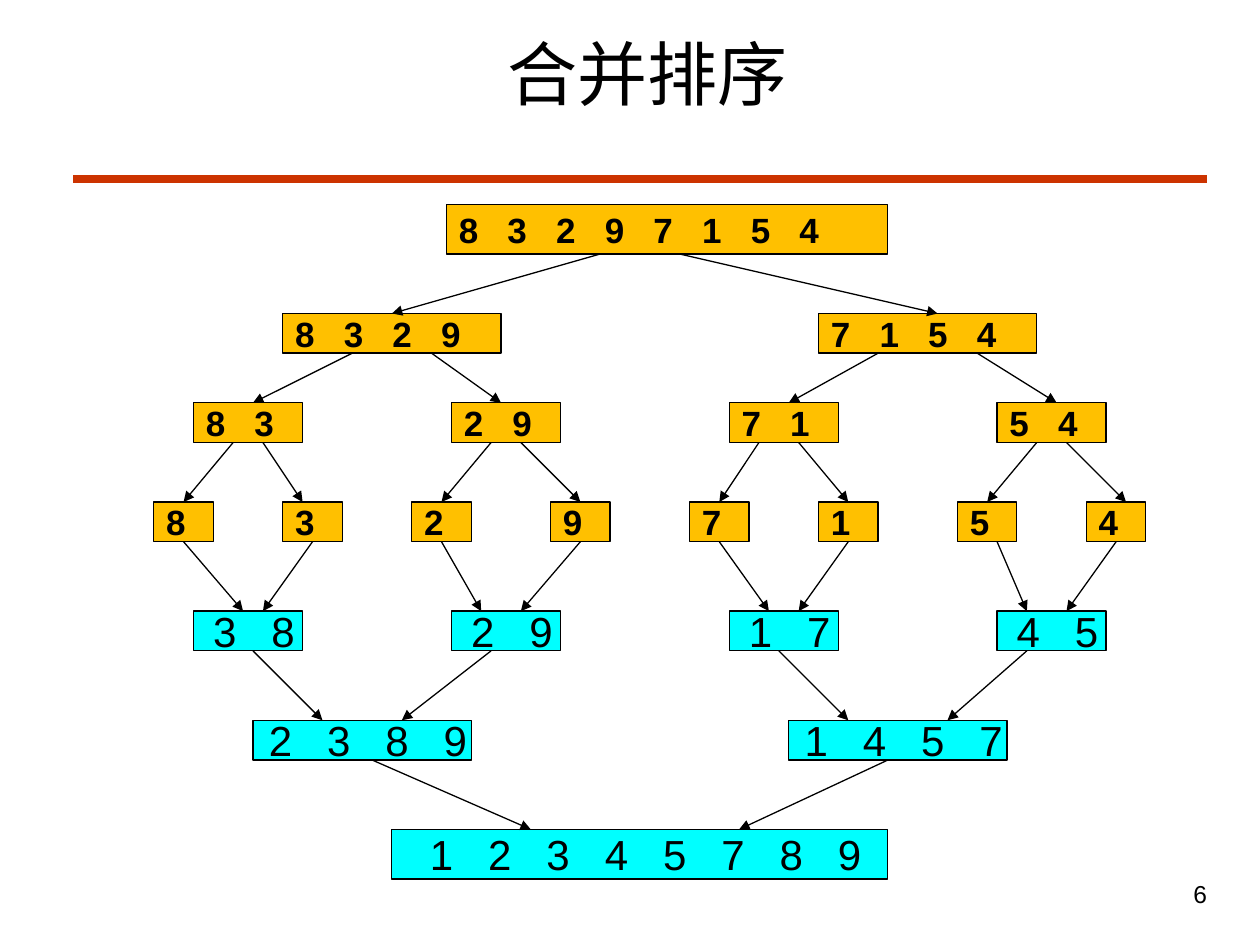
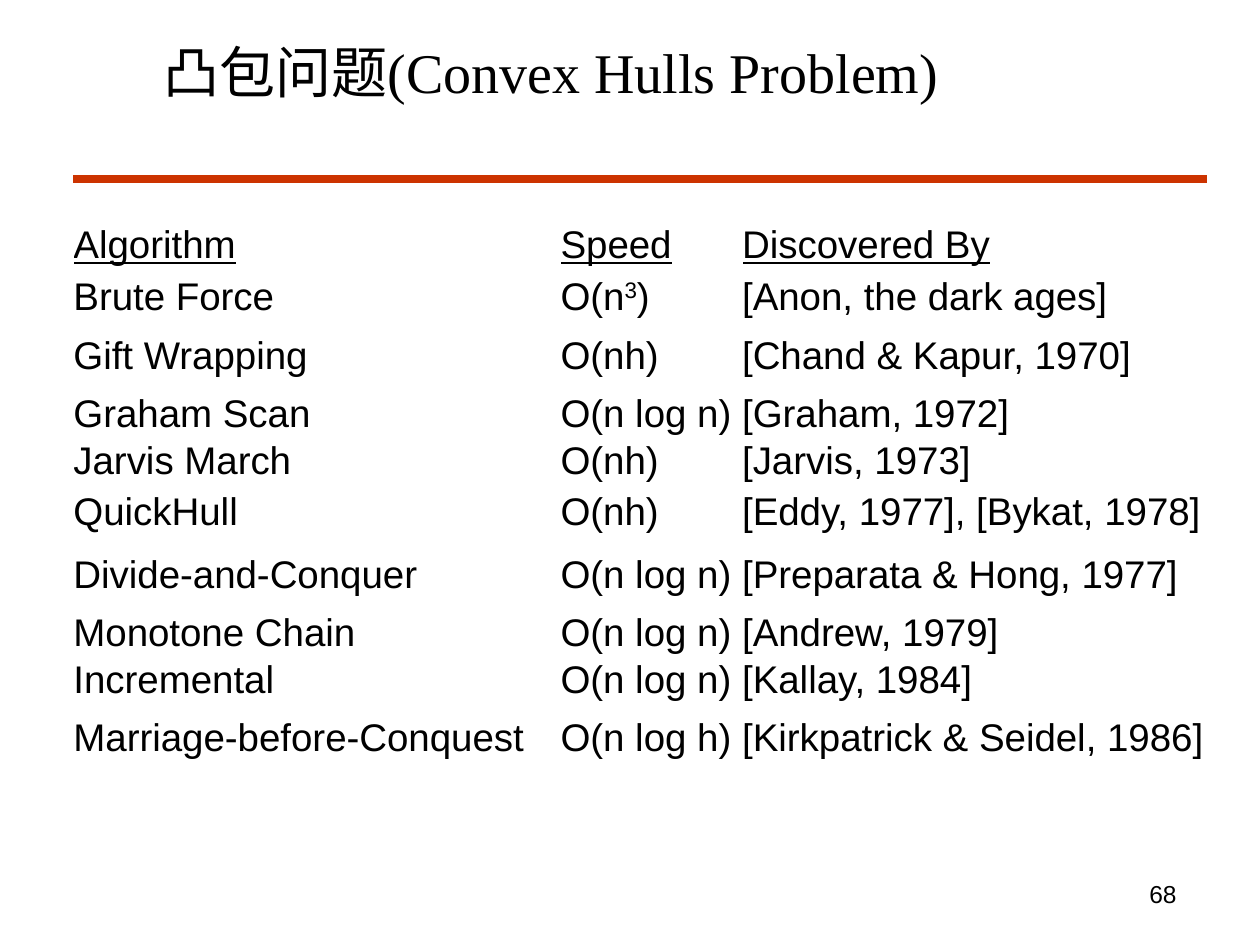
from lxml import etree
from pptx import Presentation
from pptx import util as u
from pptx.dml.color import RGBColor
from pptx.enum import shapes, text
from pptx.oxml.ns import qn

BLACK = RGBColor(0, 0, 0)
RED = RGBColor(0xCC, 0x33, 0)
AMBER = RGBColor(0xFF, 0xC0, 0)
CYAN = RGBColor(0, 0xFF, 0xFF)
SANS, SERIF = "Arial", "Times New Roman"

UNIT = u.Mm(2)  # one column or row of the grid
TREE_LEFT, TREE_TOP = 0.5, 20.6
SPACE_WIDTH = 0.278  # width of a space, as a share of the text size

# Each level: top row, height, box width, fill, boxes as (column, numbers)
LEVELS = [
    (0, 5, 44.5, AMBER, [(44.5, "8 3 2 9 7 1 5 4")]),
    (11, 4, 22, AMBER, [(28, "8 3 2 9"), (82, "7 1 5 4")]),
    (20, 4, 11, AMBER, [(19, "8 3"), (45, "2 9"), (73, "7 1"), (100, "5 4")]),
    (30, 4, 6, AMBER, [(15, "8"), (28, "3"), (41, "2"), (55, "9"),
                       (69, "7"), (82, "1"), (96, "5"), (109, "4")]),
    (41, 4, 11, CYAN, [(19, "3 8"), (45, "2 9"), (73, "1 7"), (100, "4 5")]),
    (52, 4, 22, CYAN, [(25, "2 3 8 9"), (79, "1 4 5 7")]),
    (63, 5, 50, CYAN, [(39, "1 2 3 4 5 7 8 9")]),
]
# Start and end columns of the arrows from each level to the next
ARROWS = [
    [(60, 39), (68, 94)],
    [(35, 25), (43, 50), (88, 79), (98, 106)],
    [(23, 18), (26, 30), (49, 44), (52, 58),
     (76, 72), (80, 85), (104, 99), (107, 113)],
    [(18, 24), (31, 26), (44, 48), (58, 52),
     (72, 77), (85, 80), (100, 103), (112, 107)],
    [(25, 32), (49, 40), (78, 85), (103, 95)],
    [(37, 53), (89, 74)],
]

HULL_COLUMNS = [49.1, 18.3, 50.2]
HULL_ROWS = [
    (5.8, "Algorithm", "Speed", "Discovered By"),
    (4.7, "Brute Force", "O(n^3^)", "[Anon, the dark ages]"),
    (7.1, "Gift Wrapping", "O(nh)", "[Chand & Kapur, 1970]"),
    (4.7, "Graham Scan", "O(n log n)", "[Graham, 1972]"),
    (4.7, "Jarvis March", "O(nh)", "[Jarvis, 1973]"),
    (5.6, "QuickHull", "O(nh)", "[Eddy, 1977], [Bykat, 1978]"),
    (7.1, "Divide-and-Conquer", "O(n log n)", "[Preparata & Hong, 1977]"),
    (4.7, "Monotone Chain", "O(n log n)", "[Andrew, 1979]"),
    (4.7, "Incremental", "O(n log n)", "[Kallay, 1984]"),
    (7.1, "Marriage-before-Conquest", "O(n log h)", "[Kirkpatrick & Seidel, 1986]"),
]


def grid(*lengths):
    return [u.Emu(round(n * UNIT)) for n in lengths]


def write(tf, words, size, font=SANS, align=text.PP_ALIGN.LEFT, bold=False,
          underline=False, spacing=0, anchor=None):
    """Fill a text frame; words between two ^ marks are raised."""
    if anchor is not None:
        tf.vertical_anchor = anchor
    p = tf.paragraphs[0]
    p.alignment = align
    for i, part in enumerate(words.split("^")):
        r = p.add_run()
        r.text = part
        r.font.size, r.font.name = u.Pt(size), font
        r.font.bold, r.font.underline = bold, underline
        r.font.color.rgb = BLACK
        if i % 2:
            r.font._element.set("baseline", "30000")
        if spacing:
            r.font._element.set("spc", str(round(spacing * 100)))


class Deck:
    def __init__(self):
        self.prs = Presentation()
        self.prs.slide_width, self.prs.slide_height = u.Inches(10), u.Inches(7.5)

    def slide(self, title, box, size, number, number_align):
        self.s = self.prs.slides.add_slide(self.prs.slide_layouts[5])
        self.line(7.4, 18, 121.7, 18, RED, 4.5)
        sp = self.s.shapes.title
        sp.left, sp.top, sp.width, sp.height = grid(*box)
        write(sp.text_frame, title, size, SERIF, text.PP_ALIGN.CENTER,
              anchor=text.MSO_ANCHOR.MIDDLE)
        tf = self.s.shapes.add_textbox(*grid(114.6, 88, 8.3, 6.6)).text_frame
        tf.word_wrap = True
        write(tf, number, 14, align=number_align)

    def line(self, x1, y1, x2, y2, color=BLACK, width=0.75):
        sp = self.s.shapes.add_connector(shapes.MSO_CONNECTOR.STRAIGHT,
                                         *grid(x1, y1, x2, y2))
        sp.line.color.rgb, sp.line.width = color, u.Pt(width)
        etree.SubElement(sp._element.spPr, qn("a:effectLst"))
        return sp

    def arrow(self, start, x1, end, x2):
        """Point from the bottom of one box to the top of another."""
        sp = self.line(x1, (start.top + start.height) / UNIT, x2, end.top / UNIT)
        etree.SubElement(sp.line._get_or_add_ln(), qn("a:tailEnd"), type="triangle")
        for box, x, side, join in ((start, x1, 2, sp.begin_connect),
                                   (end, x2, 0, sp.end_connect)):
            if abs(box.left + box.width / 2 - x * UNIT) < UNIT / 10:
                join(box, side)

    def box(self, x, y, width, height, numbers, fill):
        sp = self.s.shapes.add_shape(shapes.MSO_SHAPE.RECTANGLE,
                                     *grid(x, y, width, height))
        sp.shadow.inherit = False
        sp.fill.solid()
        sp.fill.fore_color.rgb = fill
        sp.line.color.rgb, sp.line.width = BLACK, u.Pt(0.75)
        merged = fill == CYAN
        size = 24 if merged else 20
        spacing = size * SPACE_WIDTH if " " in numbers else 0
        tf = sp.text_frame
        tf.word_wrap = False
        if merged:  # balances the spacing after the last number
            tf.margin_left = u.Inches(0.1) + u.Pt(spacing)
        write(tf, numbers, size, bold=not merged, spacing=spacing,
              align=text.PP_ALIGN.CENTER if merged else text.PP_ALIGN.LEFT,
              anchor=text.MSO_ANCHOR.MIDDLE)
        return sp

    def table(self, x, y, columns, rows, size):
        heights = [row[0] for row in rows]
        tbl = self.s.shapes.add_table(
            len(rows), len(columns), *grid(x, y, sum(columns), sum(heights))).table
        tbl.first_row = tbl.horz_banding = False
        for column, width in zip(tbl.columns, grid(*columns)):
            column.width = width
        for i, (height, *cells) in enumerate(rows):
            tbl.rows[i].height = grid(height)[0]
            for j, words in enumerate(cells):
                cell = tbl.cell(i, j)
                cell.fill.background()
                cell.margin_left = cell.margin_right = 0
                cell.margin_top = cell.margin_bottom = 0
                cell.vertical_anchor = text.MSO_ANCHOR.MIDDLE
                write(cell.text_frame, words, size, underline=i == 0)


def merge_sort(deck):
    deck.slide("合并排序", (6, 2.2, 118.6, 10.3), 40, "6", text.PP_ALIGN.RIGHT)
    levels = [[deck.box(TREE_LEFT + x, TREE_TOP + y, width, height, numbers, fill)
               for x, numbers in boxes]
              for y, height, width, fill, boxes in LEVELS]
    for upper, lower, arrows in zip(levels, levels[1:], ARROWS):
        for i, (x1, x2) in enumerate(arrows):
            deck.arrow(upper[i * len(upper) // len(arrows)], TREE_LEFT + x1,
                       lower[i * len(lower) // len(arrows)], TREE_LEFT + x2)


def convex_hulls(deck):
    deck.slide("凸包问题(Convex Hulls Problem)", (6.4, 2.2, 98.3, 10), 32,
               "68", text.PP_ALIGN.LEFT)
    deck.table(7.4, 21.8, HULL_COLUMNS, HULL_ROWS, 22)


def main():
    deck = Deck()
    merge_sort(deck)
    convex_hulls(deck)
    deck.prs.save("out.pptx")


if __name__ == "__main__":
    main()
